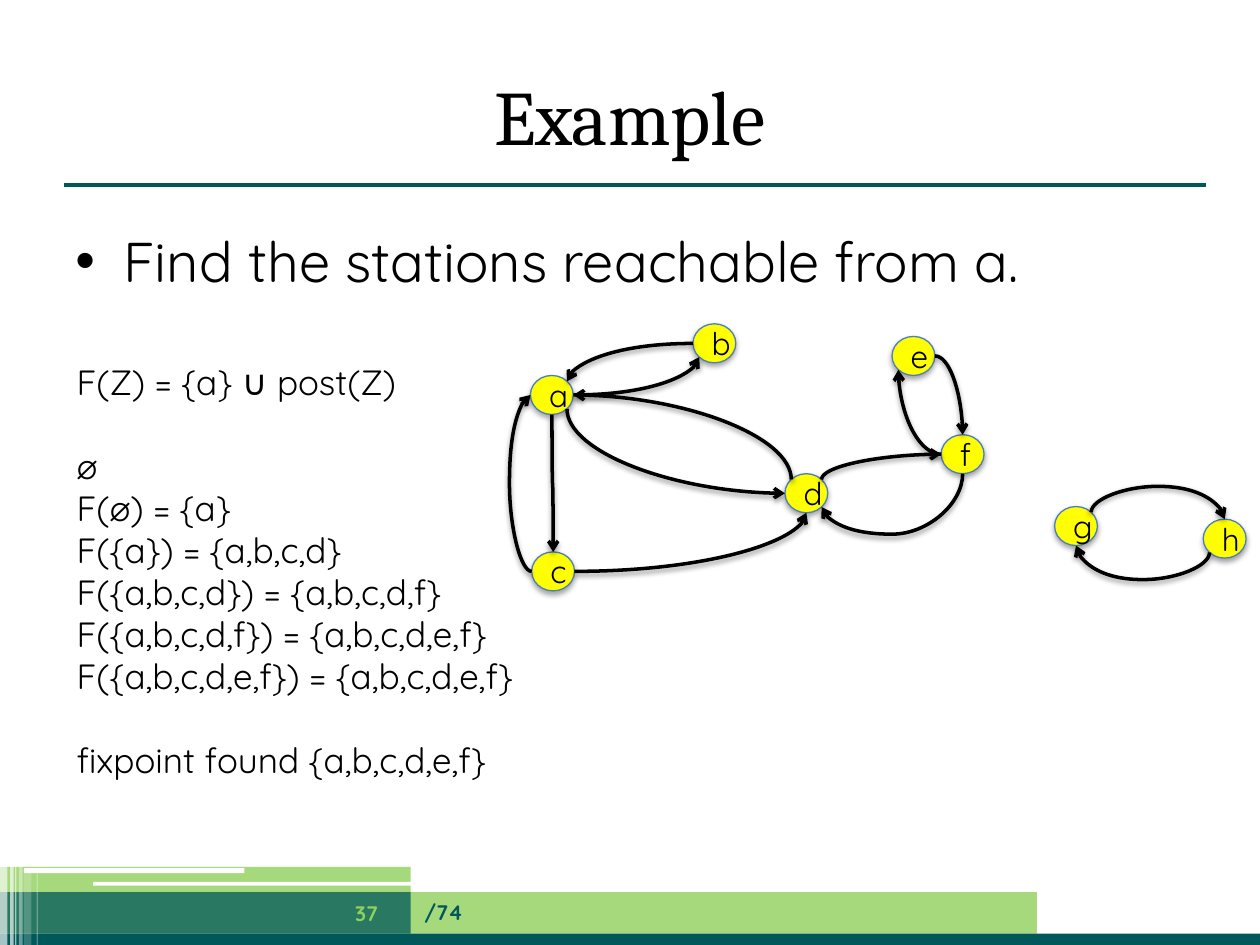
from math import cos, pi, sin

from lxml.etree import SubElement
from pptx import Presentation
from pptx.dml.color import RGBColor
from pptx.enum.shapes import MSO_CONNECTOR, MSO_SHAPE
from pptx.enum.text import MSO_ANCHOR, PP_ALIGN
from pptx.oxml.ns import qn
from pptx.util import Inches, Pt

TEAL, GREEN, WHITE, BLACK = "00585A", "90D05C", "FFFFFF", "000000"
YELLOW, BLUE = "FFFF00", "4B7EBC"
TOP, TOP_LEFT, LEFT, BOTTOM_LEFT, BOTTOM, BOTTOM_RIGHT, RIGHT, TOP_RIGHT = range(8)

FOOTER_BANDS = [
    (0, 70.8, 82.3, 3.3, GREEN, 80),
    (0, 74.1, 100, 1.1, TEAL, 100),
    (0, 70.8, 32.6, 3.3, TEAL, 75),
    (0, 68.8, 32.6, 2, GREEN, 80),
]
FOOTER_BARS = [(7.4, 70, 33.5, 0.3), (1.9, 68.9, 17.5, 0.4)]
FOOTER_STRIPES = [
    (0, 68.6, 0.6, 65), (0.8, 68.6, 0.3, 65), (1.2, 68.6, 0.1, 60),
    (1.5, 68.6, 0.3, 40), (1.9, 69, 0.6, 20), (2.9, 69, 0.1, 30),
]
STATIONS = {
    "a": (42.1, 29.8), "c": (42.2, 43.8), "b": (55, 25.7), "d": (62.3, 37.6),
    "e": (70.8, 26.7), "g": (83.7, 40.2), "f": (74.7, 34.5), "h": (95.5, 41.2),
}
ROUTES = [
    ("g", TOP_RIGHT, "h", TOP, 38.6),
    ("h", BOTTOM_LEFT, "g", BOTTOM, 46),
    ("a", RIGHT, "b", BOTTOM_LEFT, None),
    ("a", BOTTOM, "c", TOP, 38.4),
    ("a", BOTTOM_RIGHT, "d", LEFT, None),
    ("c", RIGHT, "d", BOTTOM, None),
    ("b", LEFT, "a", TOP_RIGHT, None),
    ("c", LEFT, "a", LEFT, 40.4),
    ("d", TOP_LEFT, "a", RIGHT, None),
    ("d", TOP_RIGHT, "f", LEFT, None),
    ("f", BOTTOM, "d", BOTTOM_RIGHT, 42.4),
    ("e", RIGHT, "f", TOP, None),
    ("f", LEFT, "e", BOTTOM_LEFT, None),
]
BLOCK_STARTS = ("∅", "fixpoint found {a,b,c,d,e,f}")
STEPS = [
    "F(Z) = {a} ∪ post(Z)",
    "∅",
    "F(∅) = {a}",
    "F({a}) = {a,b,c,d}",
    "F({a,b,c,d}) = {a,b,c,d,f}",
    "F({a,b,c,d,f}) = {a,b,c,d,e,f}",
    "F({a,b,c,d,e,f}) = {a,b,c,d,e,f}",
    "fixpoint found {a,b,c,d,e,f}",
]


def color(value):
    return RGBColor.from_string(value)


class SlideBuilder:
    """Draw styled elements on a slide divided into 100 columns and 75 rows."""

    font = "Quicksand"
    node_size = (3.4, 3.1)

    def __init__(self, presentation):
        self.slide = presentation.slides.add_slide(presentation.slide_layouts[6])
        self.shapes = self.slide.shapes
        self.cell = presentation.slide_width / 100
        self.nodes = {}

    def grid(self, *cells):
        return [round(value * self.cell) for value in cells]

    def shadow(self, effects, opacity, distance):
        outer = SubElement(effects, qn("a:outerShdw"), blurRad=str(Pt(3.1)),
                           dist=str(Pt(distance)), dir="5400000", rotWithShape="0")
        tint = SubElement(outer, qn("a:srgbClr"), val=BLACK)
        SubElement(tint, qn("a:alpha"), val=str(opacity * 1000))

    def shape(self, kind, box, fill, opacity=100):
        shape = self.shapes.add_shape(kind, *self.grid(*box))
        shape.shadow.inherit = False
        shape.fill.solid()
        shape.fill.fore_color.rgb = color(fill)
        shape.line.fill.background()
        if opacity < 100:
            tint = next(shape.element.spPr.iter(qn("a:srgbClr")))
            SubElement(tint, qn("a:alpha"), val=str(opacity * 1000))
        return shape

    def style(self, paragraph, size, tint=BLACK, font=None, bold=False, align=PP_ALIGN.LEFT):
        paragraph.alignment = align
        for run in paragraph.runs:
            run.font.name = font or self.font
            run.font.size = Pt(size)
            run.font.bold = bold
            run.font.color.rgb = color(tint)

    def text(self, box, text, size, anchor=MSO_ANCHOR.MIDDLE, wrap=True, **style):
        frame = self.shapes.add_textbox(*self.grid(*box)).text_frame
        frame.word_wrap = wrap
        frame.vertical_anchor = anchor
        frame.text = text
        for paragraph in frame.paragraphs:
            self.style(paragraph, size, **style)
        return frame.paragraphs

    def bullet(self, box, text, size):
        paragraph = self.text(box, text, size, anchor=MSO_ANCHOR.TOP)[0]
        paragraph.space_before = Pt(size * 0.2)
        properties = paragraph._p.get_or_add_pPr()
        properties.set("marL", str(Inches(0.38)))
        properties.set("indent", str(Inches(-0.38)))
        SubElement(properties, qn("a:buFont"), typeface="Arial")
        SubElement(properties, qn("a:buChar"), char="•")

    def connector(self, kind, ends, tint, width):
        connector = self.shapes.add_connector(kind, *self.grid(*ends))
        connector.line.color.rgb = color(tint)
        connector.line.width = Pt(width)
        return connector, SubElement(connector.element.spPr, qn("a:effectLst"))

    def node(self, name, left, top):
        shape = self.shape(MSO_SHAPE.OVAL, (left, top, *self.node_size), YELLOW)
        shape.line.color.rgb = color(BLUE)
        shape.line.width = Pt(0.75)
        self.shadow(shape.element.spPr.find(qn("a:effectLst")), 35, 1.8)
        shape.text_frame.text = name
        self.style(shape.text_frame.paragraphs[0], 18, align=PP_ALIGN.CENTER)
        self.nodes[name] = (shape, left, top)

    def site(self, name, index):
        left, top = self.nodes[name][1:]
        width, height = self.node_size
        angle = index * pi / 4
        return left + width / 2 * (1 - sin(angle)), top + height / 2 * (1 - cos(angle))

    def arrow(self, source, source_site, target, target_site, bend):
        start, end = self.site(source, source_site), self.site(target, target_site)
        dx, dy = end[0] - start[0], end[1] - start[1]
        upright = source_site not in (LEFT, RIGHT)
        if upright:
            rotation = 270 if dx * dy > 0 else 90
            flips = (dy < 0) ^ (rotation == 270), (dx > 0) ^ (rotation == 270)
            width, height = abs(dy), abs(dx)
        else:
            rotation = 180 if dx < 0 else 0
            flips = False, (dy < 0) ^ (rotation == 180)
            width, height = abs(dx), abs(dy)
        connector, effects = self.connector(MSO_CONNECTOR.CURVE, (0, 0, 0, 0), BLACK, 2)
        self.shadow(effects, 38, 1.6)
        left, top = (start[0] + end[0] - width) / 2, (start[1] + end[1] - height) / 2
        connector.left, connector.top, connector.width, connector.height = self.grid(
            left, top, width, height)
        properties = connector.element.spPr
        frame = properties.find(qn("a:xfrm"))
        frame.set("rot", str(rotation * 60000))
        for name, flipped in zip(("flipH", "flipV"), flips):
            frame.set(name, str(int(flipped)))
        geometry = properties.find(qn("a:prstGeom"))
        if bend is None:
            geometry.set("prst", "curvedConnector2")
        else:
            share = (bend - start[upright]) / (end[upright] - start[upright])
            SubElement(geometry.find(qn("a:avLst")), qn("a:gd"), name="adj1",
                       fmla=f"val {round(share * 100000)}")
        SubElement(properties.find(qn("a:ln")), qn("a:tailEnd"), type="arrow")
        links = next(connector.element.iter(qn("p:cNvCxnSpPr")))
        for tag, name, index in (("a:stCxn", source, source_site),
                                 ("a:endCxn", target, target_site)):
            SubElement(links, qn(tag), id=str(self.nodes[name][0].shape_id), idx=str(index))


def main():
    presentation = Presentation()
    presentation.slide_width, presentation.slide_height = Inches(10), Inches(7.5)
    builder = SlideBuilder(presentation)
    for *box, fill, opacity in FOOTER_BANDS:
        builder.shape(MSO_SHAPE.RECTANGLE, box, fill, opacity)
    for box in FOOTER_BARS:
        builder.shape(MSO_SHAPE.ROUNDED_RECTANGLE, box, WHITE)
    for left, top, width, opacity in FOOTER_STRIPES:
        builder.shape(MSO_SHAPE.RECTANGLE, (left, top, width, 75.2 - top), WHITE, opacity)
    builder.connector(MSO_CONNECTOR.STRAIGHT, (5.1, 14.7, 95.7, 14.7), TEAL, 2.25)
    builder.text((5, 4.4, 90, 9.4), "Example", 44, font="Cambria", align=PP_ALIGN.CENTER)
    builder.bullet((5, 17.5, 90, 7.4), "Find the stations reachable from a.", 32)
    builder.text((32.7, 70.4, 49.6, 4), "/74", 12, tint=TEAL, bold=True)
    builder.text((25.6, 70.5, 7, 4), "37", 12, tint=GREEN, bold=True, align=PP_ALIGN.CENTER)
    for name, position in STATIONS.items():
        builder.node(name, *position)
    for route in ROUTES:
        builder.arrow(*route)
    steps = builder.text((5.1, 28.1, 40.9, 34.7), "\n".join(STEPS), 20,
                         anchor=MSO_ANCHOR.TOP, wrap=False)
    for paragraph in steps:
        if paragraph.text in BLOCK_STARTS:
            paragraph.space_before = Pt(24)
    presentation.save("out.pptx")


if __name__ == "__main__":
    main()
